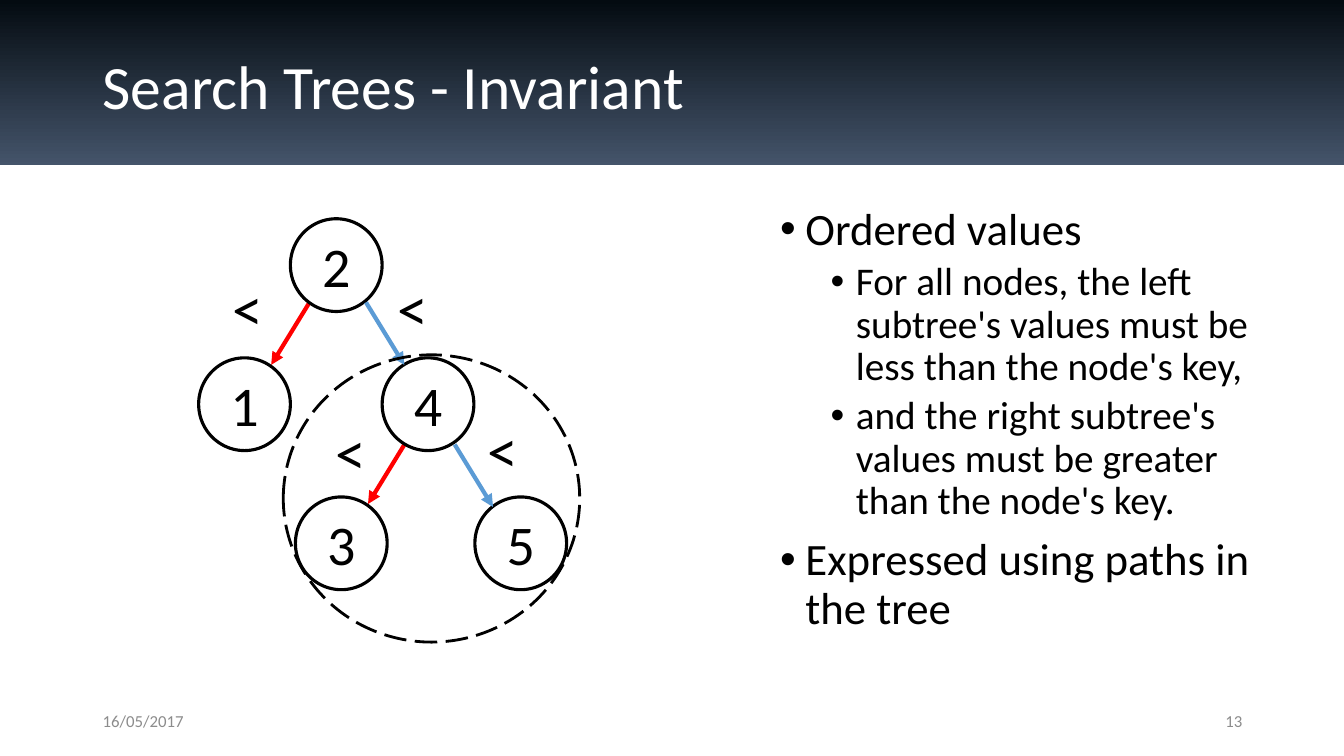
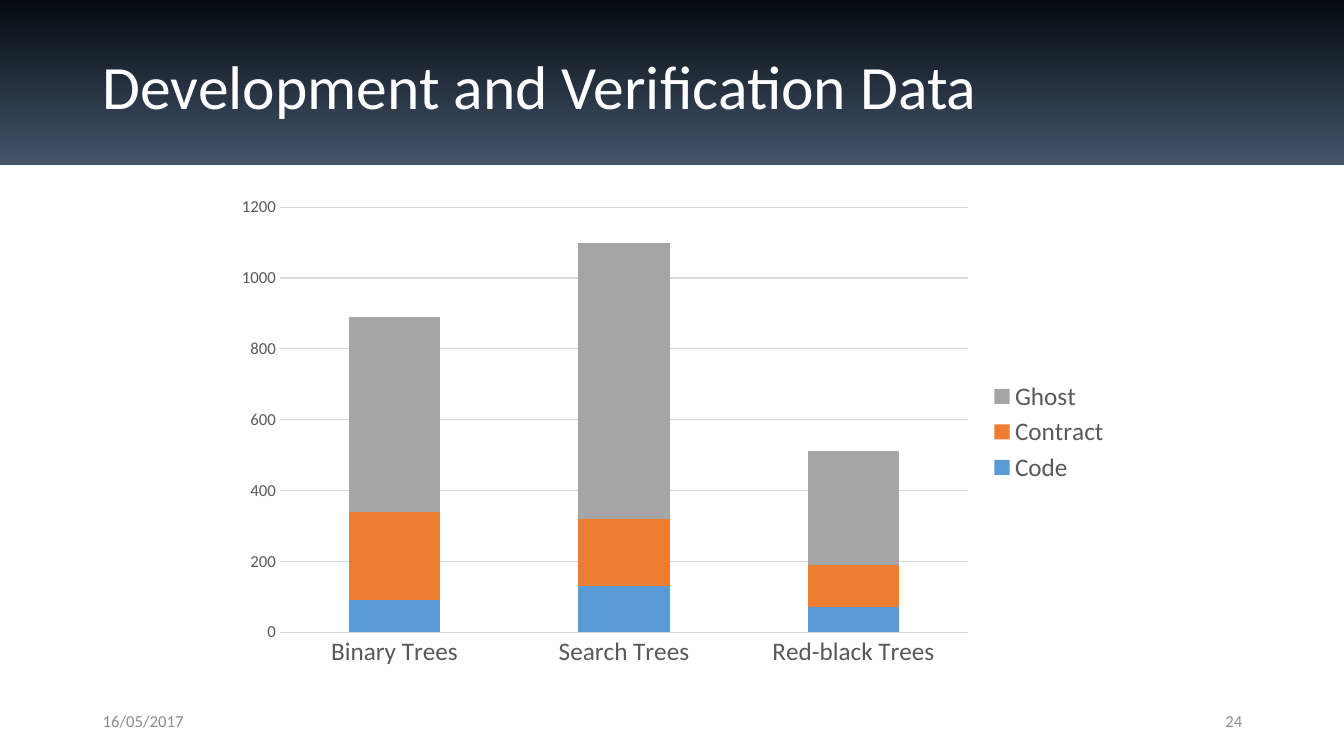
from lxml import etree
from pptx import Presentation
from pptx.chart.data import CategoryChartData
from pptx.dml.color import RGBColor
from pptx.enum.chart import XL_CHART_TYPE, XL_LEGEND_POSITION, XL_TICK_MARK
from pptx.enum.dml import MSO_LINE
from pptx.enum.shapes import MSO_CONNECTOR, MSO_SHAPE
from pptx.enum.text import MSO_ANCHOR, PP_ALIGN
from pptx.oxml.ns import qn
from pptx.util import Inches, Pt

LEFT, CENTER, RIGHT = PP_ALIGN.LEFT, PP_ALIGN.CENTER, PP_ALIGN.RIGHT
TOP, MIDDLE = MSO_ANCHOR.TOP, MSO_ANCHOR.MIDDLE
RECTANGLE, OVAL = MSO_SHAPE.RECTANGLE, MSO_SHAPE.OVAL
STRAIGHT, LONG_DASH = MSO_CONNECTOR.STRAIGHT, MSO_LINE.LONG_DASH
STACKED, NO_TICK = XL_CHART_TYPE.COLUMN_STACKED, XL_TICK_MARK.NONE
LEGEND_RIGHT = XL_LEGEND_POSITION.RIGHT

FONT = "Calibri"
BLACK, WHITE = "000000", "FFFFFF"
BAND_TOP, BAND_BOTTOM = "040B11", "44546A"
RED, BLUE, ORANGE, SILVER = "FF0000", "5B9BD5", "ED7D31", "A5A5A5"
FOOTER_GRAY, LABEL_GRAY, GRID_GRAY = "8C8C8C", "595959", "D9D9D9"
DATE = "16/05/2017"


def color(value):
    """Turn a hex string into a colour."""
    return RGBColor.from_string(value)


def set_font(font, size, ink=BLACK):
    """Set the typeface, size and colour of a font."""
    font.name, font.size = FONT, Pt(size)
    font.color.rgb = color(ink)


def write(paragraph, text, size=18, ink=BLACK, align=LEFT, spacing=None, before=0):
    """Write one run of formatted text into a paragraph."""
    paragraph.alignment = align
    paragraph.line_spacing = spacing
    paragraph.space_before = Pt(before)
    run = paragraph.add_run()
    run.text = text
    set_font(run.font, size, ink)


def add_bullet(paragraph, level):
    """Give a paragraph a hanging round bullet."""
    paragraph.level = level
    properties = paragraph._p.get_or_add_pPr()
    properties.set("marL", str(Inches(0.25 + 0.5 * level)))
    properties.set("indent", str(Inches(-0.25)))
    etree.SubElement(properties, qn("a:buFont")).set("typeface", "Arial")
    etree.SubElement(properties, qn("a:buChar")).set("char", "\u2022")


class Deck:
    """Holds the presentation, its shared style and the current slide."""

    def __init__(self):
        """Start a widescreen presentation."""
        self.presentation = Presentation()
        self.presentation.slide_width = Inches(13.33)
        self.presentation.slide_height = Inches(7.5)
        self.slide = None

    def add_slide(self, title, number):
        """Add a slide with title band, title and footer."""
        self.slide = self.presentation.slides.add_slide(self.presentation.slide_layouts[6])
        band = self.shape(RECTANGLE, 0, 0, 13.33, 1.64)
        band.fill.gradient()
        band.fill.gradient_angle = 270
        for stop, shade in zip(band.fill.gradient_stops, (BAND_TOP, BAND_BOTTOM)):
            stop.color.rgb = color(shade)
        self.text(title, 0.92, 0.4, 11.5, 0.97, anchor=MIDDLE, size=44, ink=WHITE, spacing=0.9)
        footer = {"anchor": MIDDLE, "size": 12, "ink": FOOTER_GRAY}
        self.text(DATE, 0.92, 6.95, 3, 0.4, **footer)
        self.text(str(number), 9.42, 6.95, 3, 0.4, align=RIGHT, **footer)

    def frame(self, left, top, width, height, anchor=TOP, wrap=True):
        """Add an empty text box and return its text frame."""
        box = self.slide.shapes.add_textbox(*map(Inches, (left, top, width, height)))
        box.text_frame.word_wrap = wrap
        box.text_frame.vertical_anchor = anchor
        return box.text_frame

    def text(self, text, left, top, width, height, anchor=TOP, wrap=True, **style):
        """Add a text box with one paragraph."""
        frame = self.frame(left, top, width, height, anchor, wrap)
        write(frame.paragraphs[0], text, **style)

    def bullets(self, items, left, top, width, height):
        """Add a two-level list from (level, text) pairs."""
        frame = self.frame(left, top, width, height)
        for index, (level, text) in enumerate(items):
            paragraph = frame.add_paragraph() if index else frame.paragraphs[0]
            write(paragraph, text, size=(32, 28)[level], spacing=0.9, before=(10, 5)[level])
            add_bullet(paragraph, level)

    def shape(self, kind, left, top, width, height, fill=None, line=None, weight=2.25):
        """Add a preset shape, without fill or line unless given."""
        shape = self.slide.shapes.add_shape(kind, *map(Inches, (left, top, width, height)))
        shape.shadow.inherit = False
        if fill:
            shape.fill.solid()
            shape.fill.fore_color.rgb = color(fill)
        else:
            shape.fill.background()
        if line:
            shape.line.color.rgb = color(line)
            shape.line.width = Pt(weight)
        else:
            shape.line.fill.background()
        return shape

    def node(self, key, left, top):
        """Add a tree node showing its key."""
        node = self.shape(OVAL, left, top, 0.91, 0.92, fill=WHITE, line=BLACK)
        node.text_frame.vertical_anchor = MIDDLE
        write(node.text_frame.paragraphs[0], key, size=40, align=CENTER)

    def edge(self, left, top, run, ink):
        """Add an arrow down to a child, run inches sideways."""
        ends = map(Inches, (left, top, left + run, top + 0.62))
        edge = self.slide.shapes.add_connector(STRAIGHT, *ends)
        edge.line.color.rgb = color(ink)
        edge.line.width = Pt(3)
        etree.SubElement(edge.line._get_or_add_ln(), qn("a:tailEnd")).set("type", "triangle")
        etree.SubElement(edge._element.spPr, qn("a:effectLst"))

    def stacked_columns(self, categories, series, left, top, width, height):
        """Add a stacked column chart from (name, values, colour) series."""
        data = CategoryChartData()
        data.categories = categories
        for name, values, _ in series:
            data.add_series(name, values)
        bounds = map(Inches, (left, top, width, height))
        chart = self.slide.shapes.add_chart(STACKED, *bounds, data).chart
        set_font(chart.font, 10)
        chart.has_title = False
        chart.has_legend = True
        chart.legend.position = LEGEND_RIGHT
        chart.legend.include_in_layout = False
        set_font(chart.legend.font, 18, LABEL_GRAY)
        plot = chart.plots[0]
        plot.gap_width, plot.overlap, plot.vary_by_categories = 150, 100, False
        for column, (_, _, fill) in zip(plot.series, series):
            column.format.fill.solid()
            column.format.fill.fore_color.rgb = color(fill)
        for axis, size in ((chart.category_axis, 18), (chart.value_axis, 12)):
            axis.major_tick_mark = axis.minor_tick_mark = NO_TICK
            set_font(axis.tick_labels.font, size, LABEL_GRAY)
        value_axis = chart.value_axis
        value_axis.minimum_scale, value_axis.maximum_scale = 0, 1200
        value_axis.major_unit = 200
        value_axis.format.line.fill.background()
        for line in (chart.category_axis.format.line, value_axis.major_gridlines.format.line):
            line.color.rgb = color(GRID_GRAY)
            line.width = Pt(0.75)


def invariant_slide(deck):
    """Build the search tree with its ordering rules."""
    deck.add_slide("Search Trees - Invariant", 13)
    deck.bullets([
        (0, "Ordered values"),
        (1, "For all nodes, the left subtree's values must be less than the node's key,"),
        (1, "and the right subtree's values must be greater than the node's key."),
        (0, "Expressed using paths in the tree"),
    ], 7.64, 2, 4.91, 4.76)
    for left, top in ((3.07, 3), (4.03, 4.38)):
        deck.edge(left, top, -0.38, RED)
    nodes = (("2", 2.88, 2.17), ("1", 1.97, 3.55), ("4", 3.79, 3.55),
             ("3", 2.93, 4.93), ("5", 4.71, 4.93))
    for key, left, top in nodes:
        deck.node(key, left, top)
    for left, top in ((3.63, 3), (4.51, 4.41)):
        deck.edge(left, top, 0.38, BLUE)
    subtree = deck.shape(OVAL, 2.81, 3.52, 2.94, 2.85, line=BLACK, weight=2)
    subtree.line.dash_style = LONG_DASH
    for left, top in ((2.21, 2.63), (3.84, 2.63), (4.74, 4.04), (3.23, 4.06)):
        deck.text("<", left, top, 0.51, 0.84, wrap=False, size=44)


def data_slide(deck):
    """Build the chart of lines per kind of tree."""
    deck.add_slide("Development and Verification Data", 24)
    deck.stacked_columns(("Binary Trees", "Search Trees", "Red-black Trees"), [
        ("Code", (90, 130, 70), BLUE),
        ("Contract", (250, 190, 120), ORANGE),
        ("Ghost", (550, 780, 320), SILVER),
    ], 2.22, 1.86, 8.89, 4.85)


def main():
    """Build and save the slides."""
    deck = Deck()
    invariant_slide(deck)
    data_slide(deck)
    deck.presentation.save("out.pptx")


main()
